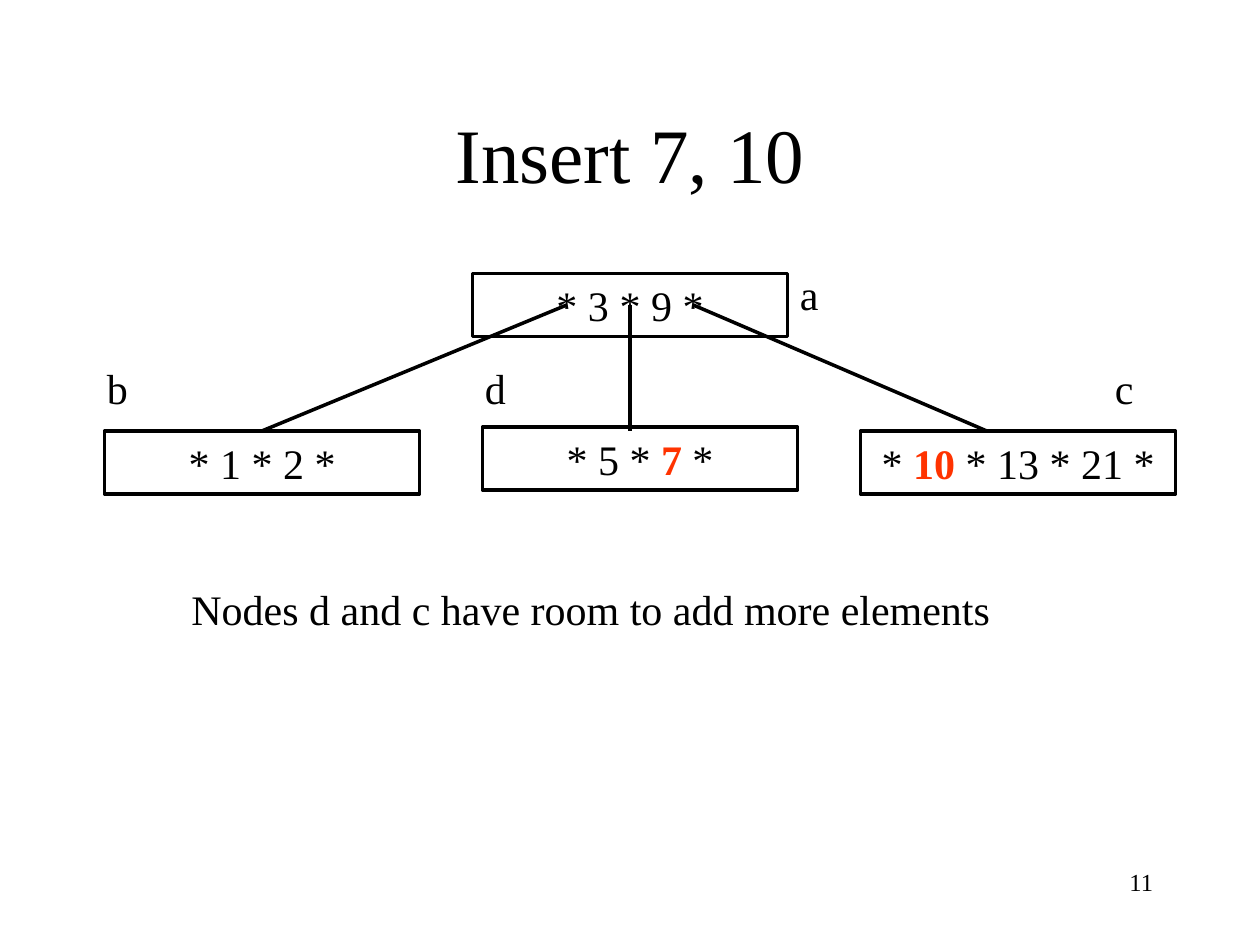
from pptx import Presentation
from pptx.dml.color import RGBColor
from pptx.enum.shapes import MSO_CONNECTOR, MSO_SHAPE
from pptx.enum.text import MSO_ANCHOR, PP_ALIGN
from pptx.oxml.ns import qn
from pptx.util import Inches, Pt
from lxml import etree

LEFT, CENTER, RIGHT = PP_ALIGN.LEFT, PP_ALIGN.CENTER, PP_ALIGN.RIGHT
TOP, MIDDLE = MSO_ANCHOR.TOP, MSO_ANCHOR.MIDDLE
RECT, STRAIGHT = MSO_SHAPE.RECTANGLE, MSO_CONNECTOR.STRAIGHT
COLORS = {"ink": "000000", "new": "FF3300"}
NODE_W, NODE_H = 2.5, 0.5


def set_text(sp, runs, size=24, align=LEFT, anchor=TOP):
    tf = sp.text_frame
    for name, value in {"word_wrap": True, "vertical_anchor": anchor}.items():
        setattr(tf, name, value)
    p = tf.paragraphs[0]
    p.alignment = align
    for text, is_new in runs:
        r = p.add_run()
        r.text = text
        font = {"name": "Times New Roman", "size": Pt(size), "bold": is_new}
        for name, value in font.items():
            setattr(r.font, name, value)
        r.font.color.rgb = RGBColor.from_string(COLORS["new" if is_new else "ink"])


def set_line(sp):
    sp.line.color.rgb = RGBColor.from_string(COLORS["ink"])
    sp.line.width = Pt(2)


prs = Presentation()
prs.slide_width, prs.slide_height = Inches(10), Inches(7.5)
s = prs.slides.add_slide(prs.slide_layouts[6])

title = s.shapes.add_textbox(Inches(0.75), Inches(0.67), Inches(8.5), Inches(1.08))
set_text(title, [("Insert 7, 10", False)], 44, CENTER, MIDDLE)

nodes = [
    (3.75, 2.17, [("* 3 * 9 *", False)]),
    (0.83, 3.42, [("* 1 * 2 *", False)]),
    (6.83, 3.42, [("* ", False), ("10 ", True), ("* 13 * 21 *", False)]),
    (3.83, 3.39, [("* 5 * ", False), ("7", True), (" *", False)]),
]
for x, y, runs in nodes:
    sp = s.shapes.add_shape(RECT, Inches(x), Inches(y), Inches(NODE_W), Inches(NODE_H))
    sp.shadow.inherit = False
    sp.fill.background()
    set_line(sp)
    set_text(sp, runs, align=CENTER)

for x1, x2 in [(4.5, 2.08), (5, 5), (5.5, 7.83)]:
    edge = s.shapes.add_connector(STRAIGHT, Inches(x1), Inches(2.42), Inches(x2), Inches(3.42))
    set_line(edge)
    etree.SubElement(edge._element.spPr, qn("a:effectLst"))

labels = [
    ("a", 6.25, 2.08, 0.5, 24, LEFT),
    ("b", 0.75, 2.83, 0.5, 24, LEFT),
    ("d", 3.75, 2.83, 0.5, 24, LEFT),
    ("c", 8.75, 2.83, 0.5, 24, LEFT),
    ("Nodes d and c have room to add more elements", 1.42, 4.58, 6.92, 24, LEFT),
    ("11", 7.17, 6.83, 2.08, 14, RIGHT),
]
for text, x, y, w, size, align in labels:
    sp = s.shapes.add_textbox(Inches(x), Inches(y), Inches(w), Inches(0.5))
    set_text(sp, [(text, False)], size, align)

prs.save("out.pptx")
